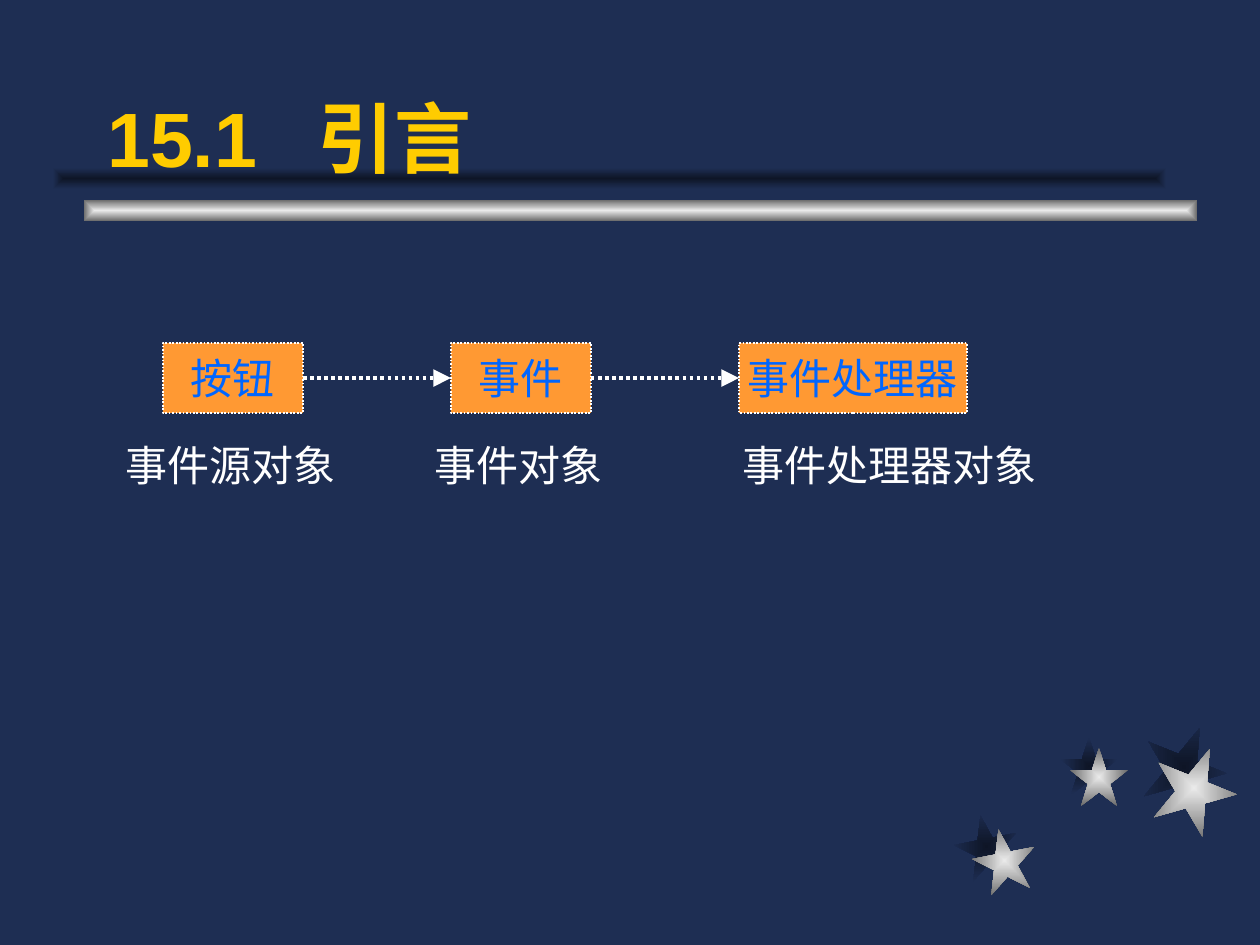
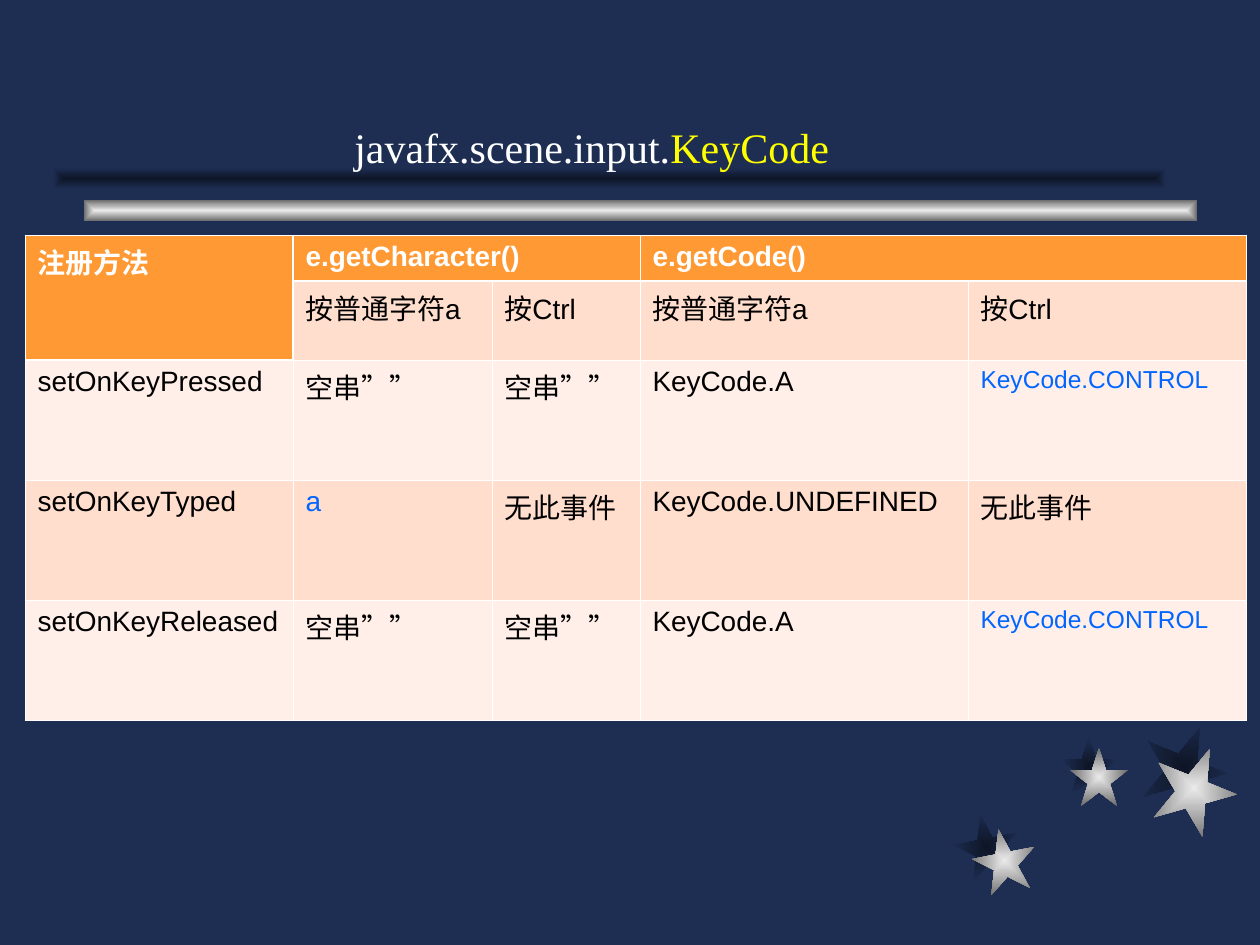
from lxml import etree
from pptx import Presentation
from pptx.dml.color import RGBColor
from pptx.enum.dml import MSO_LINE
from pptx.enum.shapes import MSO_CONNECTOR, MSO_SHAPE
from pptx.enum.text import MSO_ANCHOR, PP_ALIGN
from pptx.oxml import parse_xml
from pptx.oxml.ns import nsdecls, qn
from pptx.util import Pt

SCALE = 914400 / 126
RECT = MSO_SHAPE.RECTANGLE
STRAIGHT = MSO_CONNECTOR.STRAIGHT
DOTTED = MSO_LINE.ROUND_DOT
LEFT, CENTER = PP_ALIGN.LEFT, PP_ALIGN.CENTER
TOP, MIDDLE, BOTTOM = MSO_ANCHOR.TOP, MSO_ANCHOR.MIDDLE, MSO_ANCHOR.BOTTOM

COLORS = {
    "bg": "1E2E53", "shade": "0E1526", "silver": "EAEAEA", "steel": "6C6C6C",
    "gold": "FFCC00", "yellow": "FFFF00", "white": "FFFFFF", "black": "000000",
    "orange": "FF9933", "blue": "0066FF", "peach": "FFDECD", "cream": "FFEFE8",
}
SANS, SERIF = "Arial", "Times New Roman"
SHADE, METAL = ("shade", "bg"), ("silver", "steel")

STAR = [(0, 38), (38, 38), (50, 0), (62, 38), (100, 38),
        (69, 62), (81, 100), (50, 76), (19, 100), (31, 62)]
STARS = [
    (955, 815, 63, 349, SHADE), (1060, 737, 58, 0, SHADE), (1142, 725, 84, 22, SHADE),
    (973, 829, 63, 349, METAL), (1070, 748, 58, 0, METAL), (1152, 746, 84, 22, METAL),
]
BARS = [(84, 200, METAL), (53, 168, SHADE)]

STEPS = [("按钮", 140), ("事件", 140), ("事件处理器", 228)]
LABELS = [("事件源对象", 0, 248), ("事件对象", 309, 218), ("事件处理器对象", 617, 328)]

COLUMNS = [268, 199, 148, 328, 278]
ROWS = [46, 79, 120, 120, 120]
CELLS = [
    ["注册方法", "e.getCharacter()", "", "e.getCode()", ""],
    ["", "按普通字符a", "按Ctrl", "按普通字符a", "按Ctrl"],
    ["setOnKeyPressed", "空串””", "空串””", "KeyCode.A", "KeyCode.CONTROL"],
    ["setOnKeyTyped", "a", "无此事件", "KeyCode.UNDEFINED", "无此事件"],
    ["setOnKeyReleased", "空串””", "空串””", "KeyCode.A", "KeyCode.CONTROL"],
]
MERGES = [((0, 0), (1, 0)), ((0, 1), (0, 2)), ((0, 3), (0, 4))]


def px(n):
    return int(n * SCALE)


def box(x, y, w, h):
    return px(x), px(y), px(w), px(h)


def rgb(name):
    return RGBColor.from_string(COLORS[name])


def write(tf, runs, size=24, font=SERIF, bold=False, align=LEFT, anchor=TOP, wrap=True, tab=None):
    tf.word_wrap = wrap
    tf.vertical_anchor = anchor
    p = tf.paragraphs[0]
    p.alignment = align
    if tab:
        tabs = etree.SubElement(p._p.get_or_add_pPr(), qn("a:tabLst"))
        etree.SubElement(tabs, qn("a:tab"), pos=str(px(tab)), algn="l")
    for text, color in runs:
        r = p.add_run()
        r.text = text
        r.font.size = Pt(size)
        r.font.name = font
        r.font.bold = bold
        r.font.color.rgb = rgb(color)


def add_text(slide, area, runs, **fmt):
    sp = slide.shapes.add_textbox(*box(*area))
    write(sp.text_frame, runs, **fmt)


def set_glow(sp, inner, outer):
    sp.shadow.inherit = False
    sp.line.fill.background()
    sp.fill.gradient()
    stops = sp.fill.gradient_stops
    for stop, name, position in zip(stops, (inner, outer), (0, 1)):
        stop.color.rgb = rgb(name)
        stop.position = position
    lin = sp._element.spPr.find(".//" + qn("a:lin"))
    lin.getparent().replace(lin, parse_xml(
        f'<a:path {nsdecls("a")} path="rect">'
        '<a:fillToRect l="50000" t="50000" r="50000" b="50000"/></a:path>'))


def add_star(slide, x, y, size, angle, glow):
    builder = slide.shapes.build_freeform(*STAR[0], scale=px(size) / 100)
    builder.add_line_segments(STAR[1:], close=True)
    sp = builder.convert_to_shape(px(x), px(y))
    sp.rotation = angle
    set_glow(sp, *glow)


def add_base_slide(prs):
    slide = prs.slides.add_slide(prs.slide_layouts[6])
    slide.background.fill.solid()
    slide.background.fill.fore_color.rgb = rgb("bg")
    for star in STARS:
        add_star(slide, *star)
    for x, y, glow in BARS:
        set_glow(slide.shapes.add_shape(RECT, *box(x, y, 1113, 21)), *glow)
    return slide


def add_step(slide, area, text):
    sp = slide.shapes.add_shape(RECT, *box(*area))
    sp.shadow.inherit = False
    sp.fill.solid()
    sp.fill.fore_color.rgb = rgb("orange")
    sp.line.color.rgb = rgb("white")
    sp.line.width = Pt(1)
    sp.line.dash_style = DOTTED
    write(sp.text_frame, [(text, "blue")], align=CENTER, anchor=MIDDLE, wrap=False)
    return sp


def add_arrow(slide, start, end):
    line = slide.shapes.add_connector(STRAIGHT, 0, 0, 0, 0)
    line.begin_connect(start, 3)
    line.end_connect(end, 1)
    line.line.color.rgb = rgb("white")
    line.line.width = Pt(2)
    line.line.dash_style = DOTTED
    etree.SubElement(line.line._get_or_add_ln(), qn("a:tailEnd"), type="triangle", w="lg", len="lg")
    etree.SubElement(line._element.spPr, qn("a:effectLst"))


def add_event_flow(slide, x, y, gap=148, height=70):
    left, steps = x, []
    for text, width in STEPS:
        steps.append(add_step(slide, (left, y, width, height), text))
        left += width + gap
    for start, end in zip(steps, steps[1:]):
        add_arrow(slide, start, end)
    for text, offset, width in LABELS:
        add_text(slide, (x - 50 + offset, y + 90, width, 63), [(text, "white")])


def is_header(row, col):
    return row == 0 or (row, col) == (1, 0)


def set_borders(cell, row, col):
    below, right = row + cell.span_height, col + cell.span_width
    header = is_header(row, col)
    heavy = {
        "lnL": row < 2 and col == 1,
        "lnR": row < 2 and right == 1,
        "lnT": row > 0 and is_header(row - 1, col) and not header,
        "lnB": header and not is_header(below, col),
    }
    tcPr = cell._tc.get_or_add_tcPr()
    for side, thick in heavy.items():
        ln = etree.SubElement(tcPr, qn(f"a:{side}"), w=str(Pt(1.47 if thick else 0.45)))
        fill = etree.SubElement(ln, qn("a:solidFill"))
        etree.SubElement(fill, qn("a:srgbClr"), val=COLORS["white"])


def set_cell(cell, row, col, text):
    header = is_header(row, col)
    special = text in ("a", "KeyCode.CONTROL")
    set_borders(cell, row, col)
    cell.fill.solid()
    cell.fill.fore_color.rgb = rgb("orange" if header else "peach" if row % 2 else "cream")
    if text:
        color = "white" if header else "blue" if special else "black"
        write(cell.text_frame, [(text, color)], font=SANS, bold=header,
              size=14 if text == "KeyCode.CONTROL" else 16)


def add_key_table(slide, x, y):
    area = box(x, y, sum(COLUMNS), sum(ROWS))
    table = slide.shapes.add_table(len(ROWS), len(COLUMNS), *area).table
    for column, width in zip(table.columns, COLUMNS):
        column.width = px(width)
    for row, height in zip(table.rows, ROWS):
        row.height = px(height)
    for first, last in MERGES:
        table.cell(*first).merge(table.cell(*last))
    for row, texts in enumerate(CELLS):
        for col, text in enumerate(texts):
            set_cell(table.cell(row, col), row, col, text)


def add_intro_slide(prs):
    slide = add_base_slide(prs)
    add_text(slide, (95, 32, 1071, 157), [("15.1\t引言", "gold")],
             size=44, font=SANS, bold=True, anchor=BOTTOM, tab=210)
    add_event_flow(slide, 163, 343)


def add_key_code_slide(prs):
    slide = add_base_slide(prs)
    add_text(slide, (342, 115, 615, 63),
             [("javafx.scene.input.", "white"), ("KeyCode", "yellow")])
    add_key_table(slide, 25, 235)


def main():
    prs = Presentation()
    prs.slide_width, prs.slide_height = px(1260), px(945)
    add_intro_slide(prs)
    add_key_code_slide(prs)
    prs.save("out.pptx")


if __name__ == "__main__":
    main()
